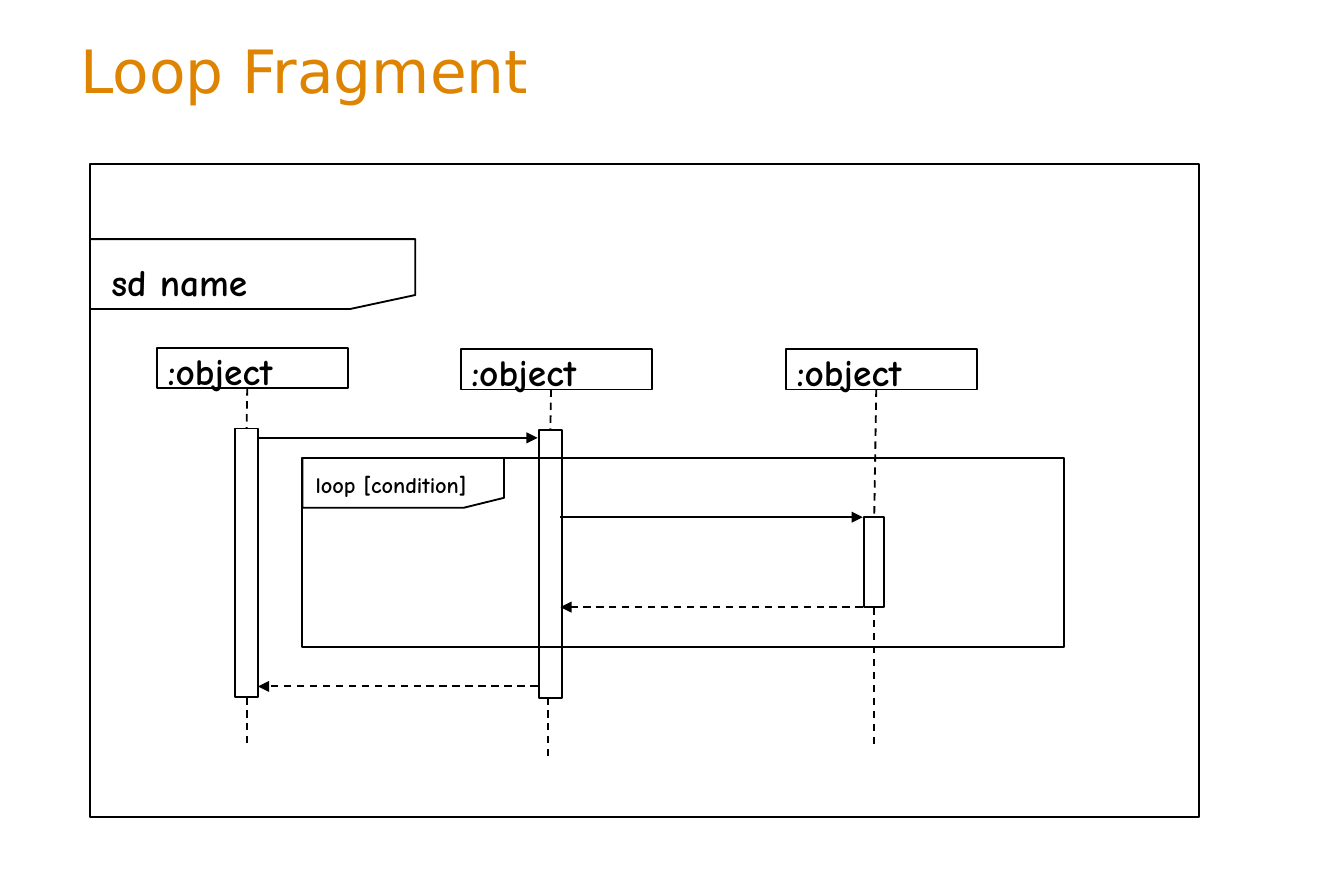
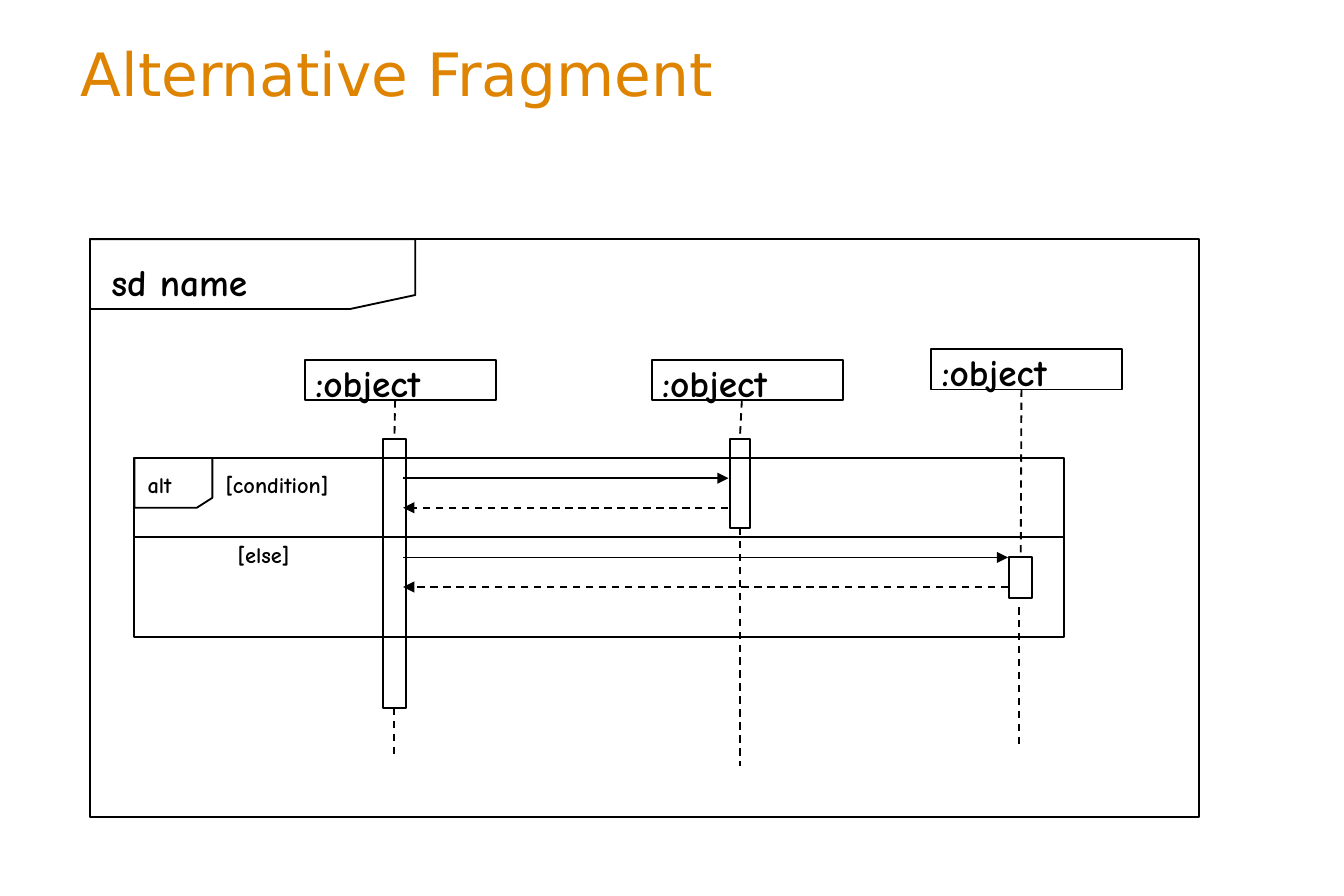
from dataclasses import dataclass
from typing import Any, Optional

import pptx
import pptx.dml.color
import pptx.enum.dml
import pptx.enum.shapes
import pptx.enum.text
import pptx.oxml.ns
import pptx.oxml.xmlchemy
import pptx.util
from pptx.util import Inches

COLORS = {"title": "DE8400", "ink": "000000"}
FONTS = {"title": "DejaVu Sans", "label": "Comic Neue"}
SHAPE = pptx.enum.shapes.MSO_SHAPE
FIT = pptx.enum.text.MSO_AUTO_SIZE
TOP, BOTTOM = 0, 2


@dataclass
class Box:
    left: float
    top: float
    width: float
    height: float

    def sides(self) -> list:
        return [Inches(n) for n in (self.left, self.top, self.width, self.height)]


@dataclass
class Label:
    text: str
    box: Box
    size: int


@dataclass
class Life:
    left: float
    top: float
    start: float
    bar: Box
    end: float
    foot: Optional[tuple] = None


@dataclass
class Message:
    start: float
    end: float
    top: float
    reply: bool = False


def life(left: float, top: float, start: float, width: float, height: float,
         end: float, foot: Optional[tuple] = None) -> Life:
    return Life(left, top, start, Box(left + 0.58, start, width, height), end, foot)


def color(name: str) -> Any:
    return pptx.dml.color.RGBColor.from_string(COLORS[name])


def pen(line: Any) -> None:
    line.color.rgb = color("ink")
    line.width = pptx.util.Pt(1)


def style(run: Any, font: str, size: int, ink: str, bold: bool) -> None:
    run.font.name = FONTS[font]
    run.font.size = pptx.util.Pt(size)
    run.font.color.rgb = color(ink)
    run.font.bold = bold


def outline(shapes: Any, kind: Any, box: Box) -> Any:
    shape = shapes.add_shape(kind, *box.sides())
    shape.shadow.inherit = False
    shape.fill.background()
    pen(shape.line)
    return shape


def frame(shapes: Any, box: Box) -> Any:
    return outline(shapes, SHAPE.RECTANGLE, box)


def tab(shapes: Any, box: Box) -> None:
    outline(shapes, SHAPE.FLOWCHART_CARD, box).rotation = 180


def write(shapes: Any, label: Label) -> None:
    text = shapes.add_textbox(*label.box.sides()).text_frame
    text.word_wrap = False
    text.auto_size = FIT.SHAPE_TO_FIT_TEXT
    line = text.paragraphs[0]
    line.line_spacing = 0.9
    run = line.add_run()
    run.text = label.text
    style(run, "label", label.size, "ink", True)


def link(shapes: Any, start: tuple, end: tuple, dash: bool, arrow: bool = False) -> Any:
    line = shapes.add_connector(pptx.enum.shapes.MSO_CONNECTOR.STRAIGHT,
                                *[Inches(n) for n in (*start, *end)])
    pen(line.line)
    if dash:
        line.line.dash_style = pptx.enum.dml.MSO_LINE.DASH
    props = line._element.spPr
    if arrow:
        head = pptx.oxml.xmlchemy.OxmlElement("a:tailEnd")
        head.set("type", "triangle")
        props.find(pptx.oxml.ns.qn("a:ln")).append(head)
    props.append(pptx.oxml.xmlchemy.OxmlElement("a:effectLst"))
    return line


def draw_life(shapes: Any, item: Life) -> None:
    frame(shapes, Box(item.left, item.top, 1.42, 0.3))
    write(shapes, Label(":object", Box(item.left - 0.02, item.top - 0.01, 1.18, 0.41), 20))
    bar = frame(shapes, item.bar)
    mid = item.bar.left + item.bar.width / 2
    stem = link(shapes, (item.left + 0.67, item.top + 0.3), (mid, item.start), True)
    stem.end_connect(bar, TOP)
    foot = item.foot or (mid, item.start + item.bar.height)
    tail = link(shapes, foot, (foot[0], item.end), True)
    if item.foot is None:
        tail.begin_connect(bar, BOTTOM)


def draw_all(shapes: Any, lives: list, sent: list) -> None:
    for item in lives:
        draw_life(shapes, item)
    for note in sent:
        link(shapes, (note.start, note.top), (note.end, note.top), note.reply, True)


def begin(deck: Any, title: str, place: Box, top: float) -> Any:
    slide = deck.slides.add_slide(deck.slide_layouts[5])
    head = slide.shapes.title
    head.left, head.top, head.width, head.height = place.sides()
    text = head.text_frame
    text.auto_size = FIT.NONE
    text.vertical_anchor = pptx.enum.text.MSO_ANCHOR.MIDDLE
    line = text.paragraphs[0]
    line.alignment = pptx.enum.text.PP_ALIGN.LEFT
    run = line.add_run()
    run.text = title
    style(run, "title", 32, "title", False)
    frame(slide.shapes, Box(0.67, top, 8.25, 6.08 - top))
    tab(slide.shapes, Box(0.67, 1.78, 2.42, 0.52))
    write(slide.shapes, Label("sd name", Box(0.73, 1.92, 1.3, 0.41), 20))
    return slide.shapes


def loop(deck: Any) -> None:
    shapes = begin(deck, "Loop Fragment", Box(0.5, 0.24, 9, 0.56), 1.22)
    draw_all(shapes, [
        life(1.17, 2.59, 3.19, 0.17, 2, 5.56),
        life(3.43, 2.6, 3.2, 0.17, 2, 5.63, (4.08, 5.19)),
        life(5.85, 2.6, 3.85, 0.15, 0.67, 5.56),
    ], [
        Message(1.92, 4, 3.26),
        Message(4.17, 6.42, 3.85),
        Message(6.42, 4.17, 4.52, True),
        Message(4, 1.92, 5.11, True),
    ])
    frame(shapes, Box(2.25, 3.41, 5.67, 1.41))
    tab(shapes, Box(2.25, 3.41, 1.5, 0.37))
    write(shapes, Label("loop [condition]", Box(2.25, 3.48, 1.43, 0.29), 12))


def choice(deck: Any) -> None:
    shapes = begin(deck, "Alternative Fragment", Box(0.5, 0.27, 9, 0.54), 1.78)
    draw_all(shapes, [
        life(2.27, 2.68, 3.27, 0.17, 2, 5.64),
        life(4.85, 2.68, 3.27, 0.15, 0.66, 5.7),
        life(6.93, 2.6, 4.15, 0.17, 0.3, 5.56, (7.58, 4.52)),
    ], [
        Message(3, 5.42, 3.56),
        Message(5.42, 3, 3.78, True),
        Message(3, 7.5, 4.15),
        Message(7.5, 3, 4.37, True),
    ])
    first = shapes.add_group_shape().shapes
    frame(first, Box(1, 3.41, 6.92, 0.59))
    tab(first, Box(1, 3.41, 0.58, 0.37))
    write(first, Label("alt", Box(1, 3.48, 0.43, 0.29), 12))
    write(first, Label("[condition]", Box(1.58, 3.48, 1.04, 0.29), 12))
    other = shapes.add_group_shape().shapes
    write(other, Label("[else]", Box(1.67, 4, 0.64, 0.29), 12))
    frame(other, Box(1, 4, 6.92, 0.74))


def main() -> None:
    deck = pptx.Presentation()
    deck.slide_width = Inches(10)
    deck.slide_height = Inches(6.67)
    loop(deck)
    choice(deck)
    deck.save("out.pptx")


if __name__ == "__main__":
    main()
